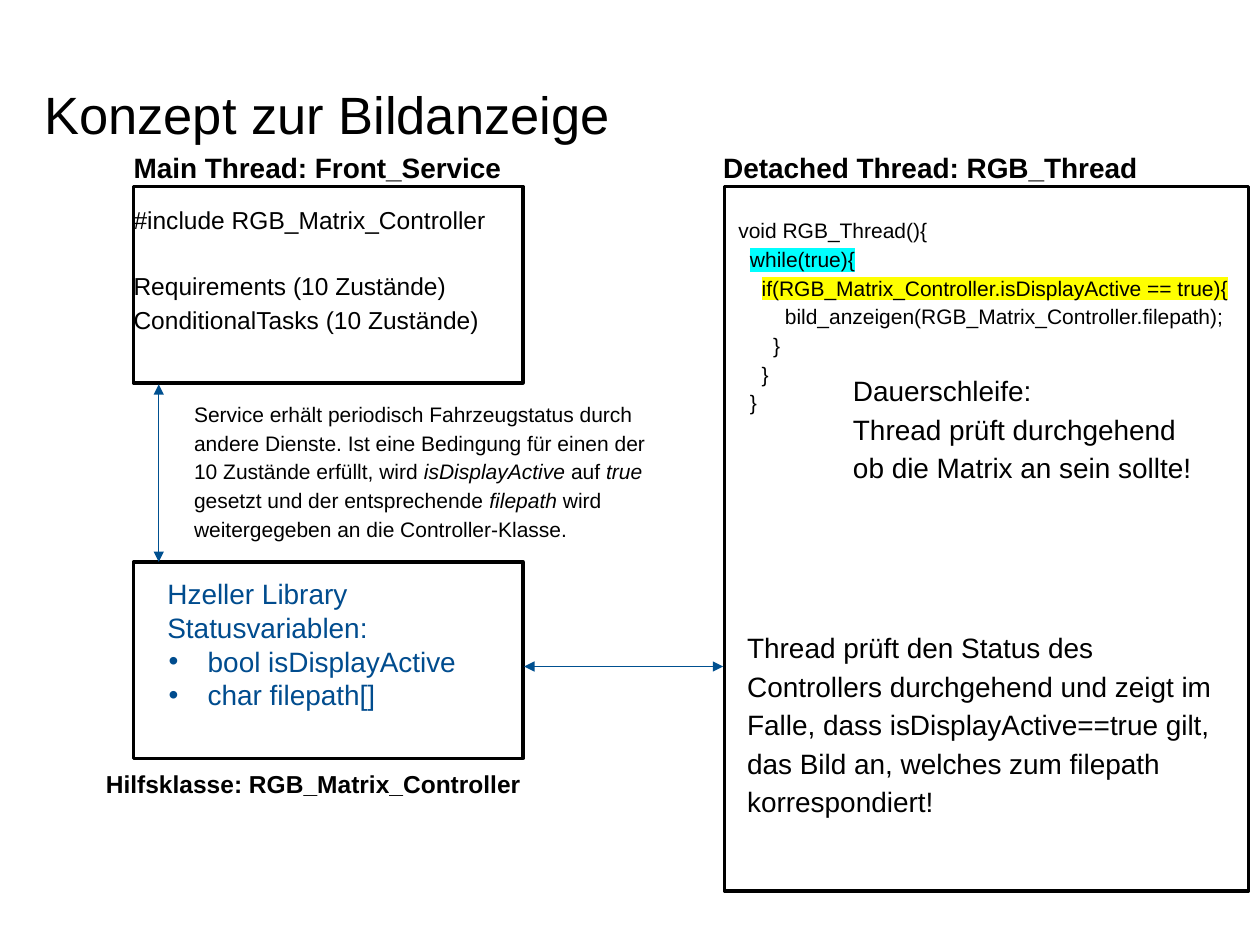
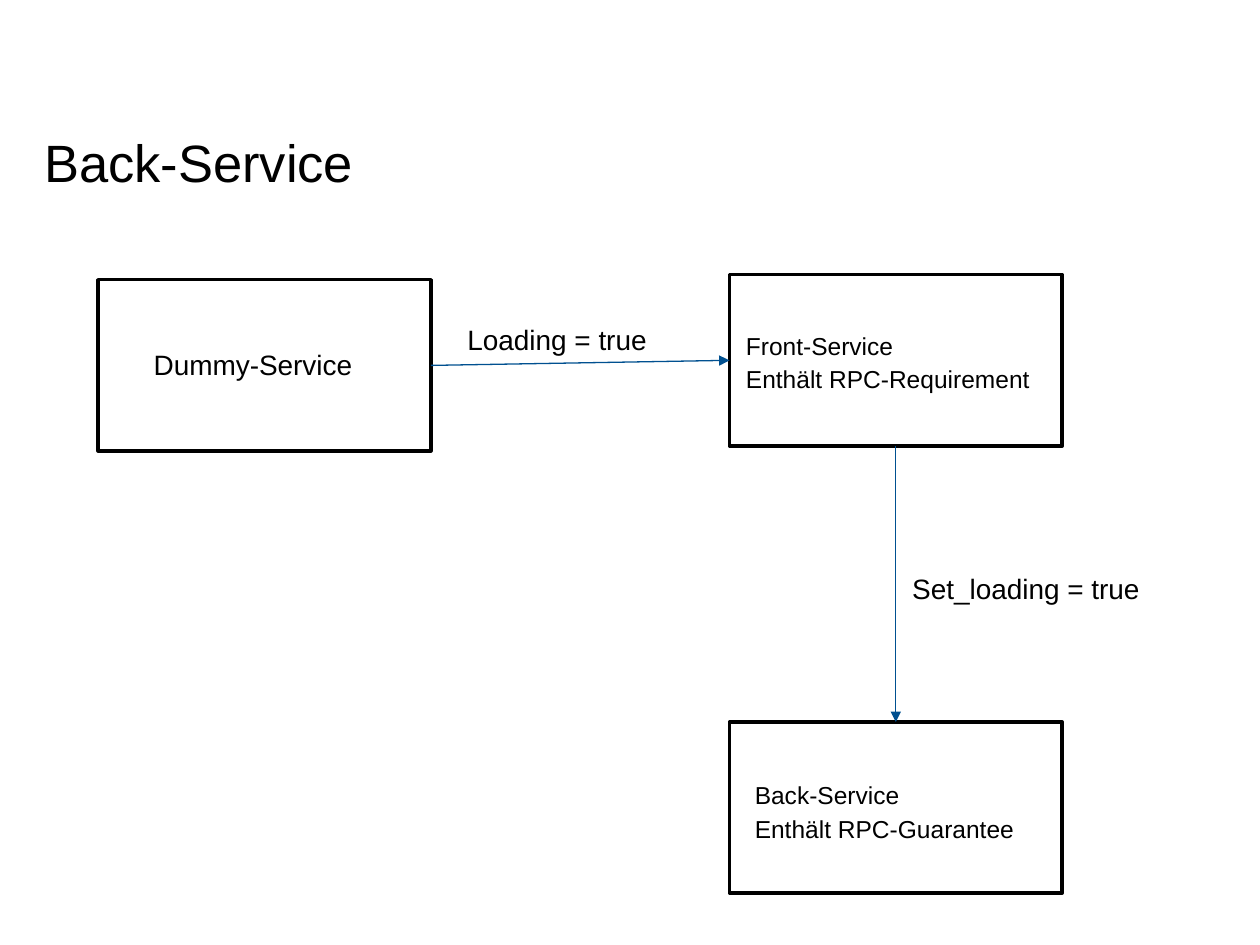
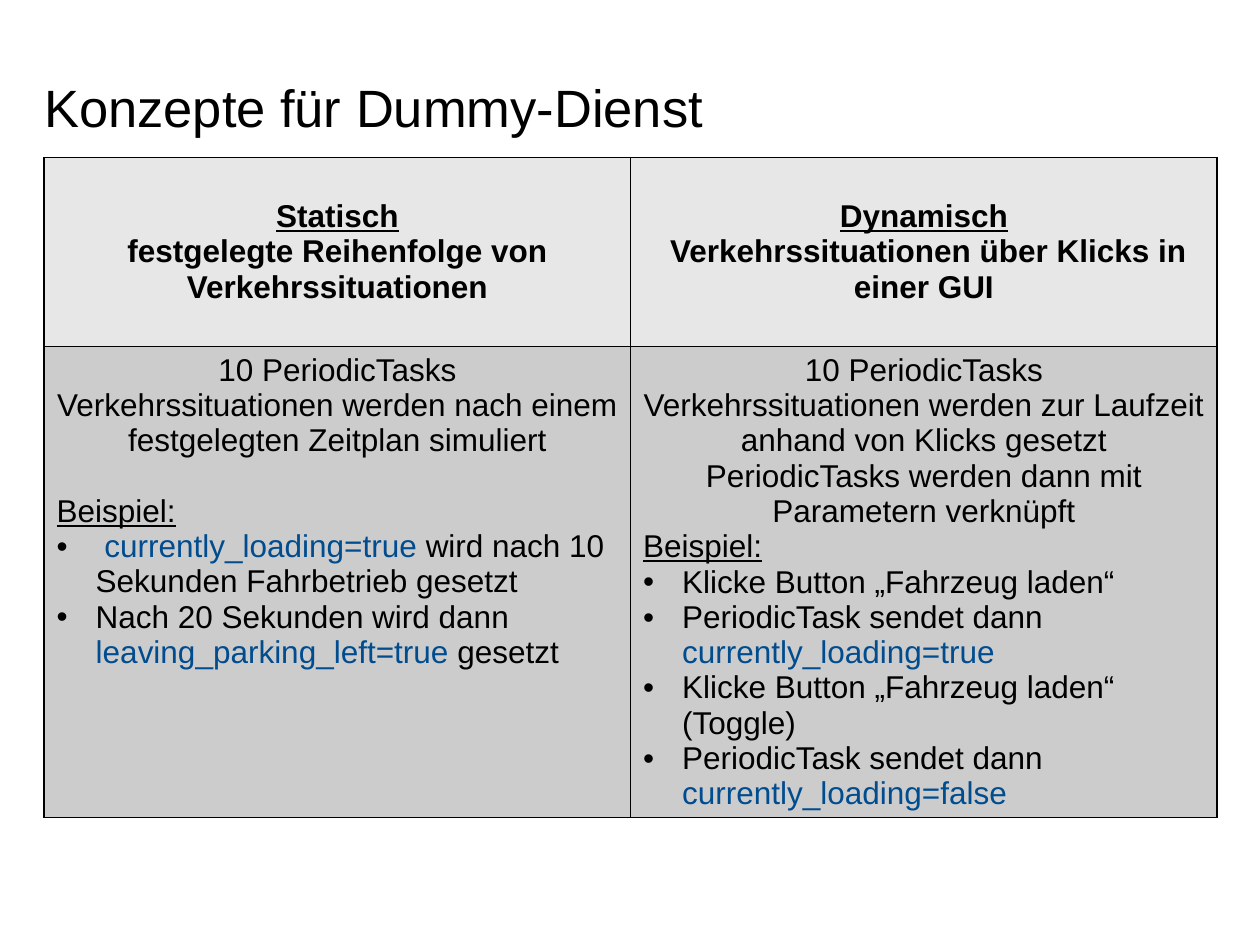
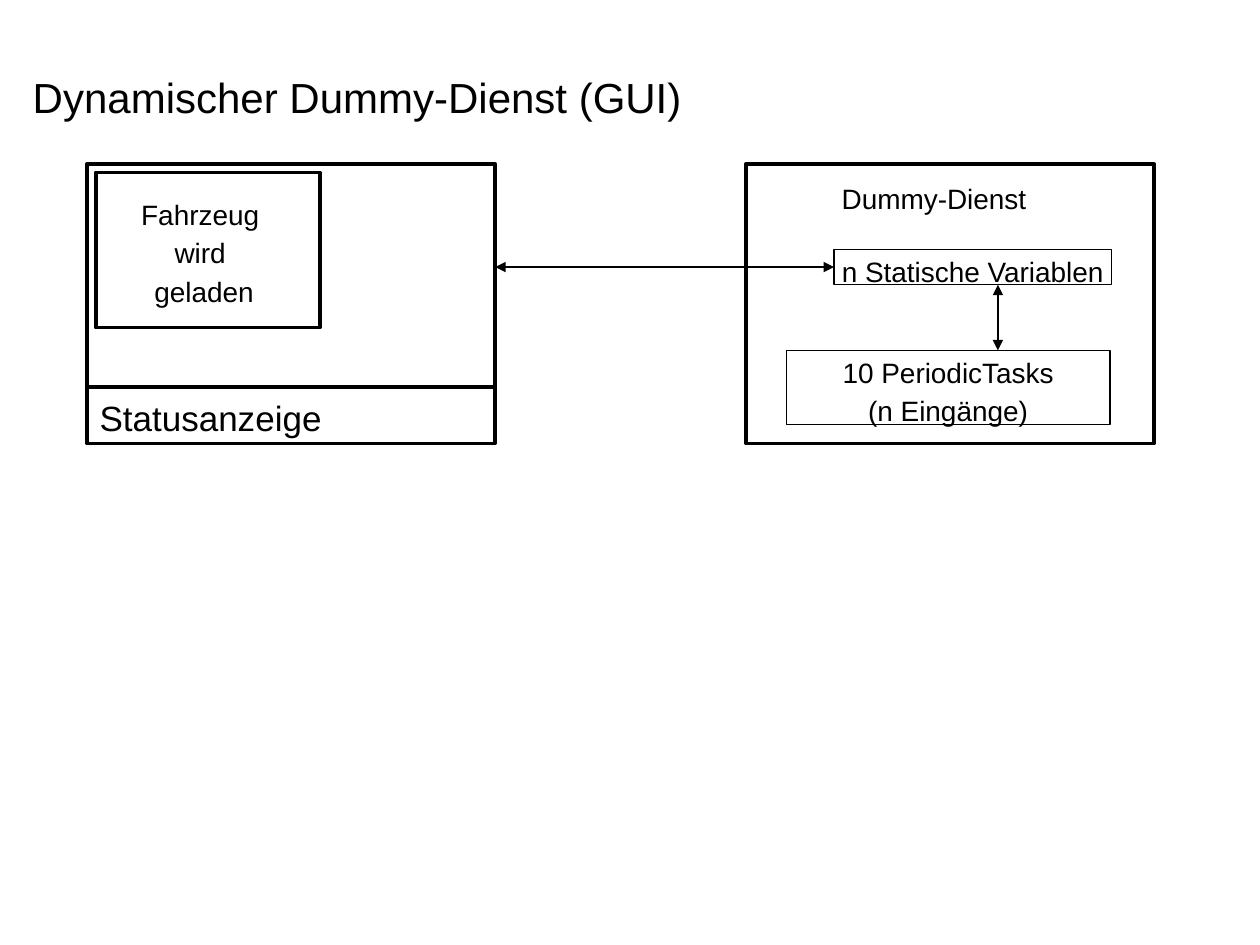
from lxml.etree import SubElement
from pptx import Presentation
from pptx.dml.color import RGBColor
from pptx.enum.shapes import MSO_CONNECTOR, MSO_SHAPE
from pptx.enum.text import MSO_ANCHOR, MSO_AUTO_SIZE, PP_ALIGN
from pptx.oxml import parse_xml
from pptx.oxml.ns import nsdecls, qn
from pptx.util import Inches, Pt

COLORS = {
    "ink": "000000",
    "accent": "004C8E",
    "arrow": "005090",
    "head": "E7E7E7",
    "body": "CCCCCC",
    "loop": "00FFFF",
    "condition": "FFFF00",
}
WIDTH, HEIGHT = Inches(10), Inches(7.5)
COLUMNS, ROWS = 100, 75
FONT = "Arial"
LEADING = 1.37
FRAME_LINE, THIN_LINE, DIVIDER_LINE = 2, 0.75, 2.25
CENTER = {"alignment": PP_ALIGN.CENTER}
BULLET_HANG = 0.31


def rgb(key):
    """Look up a colour by its role."""
    return RGBColor.from_string(COLORS[key])


def col(count):
    """Turn grid columns into a length."""
    return round(WIDTH * count / COLUMNS)


def row(count):
    """Turn grid rows into a length."""
    return round(HEIGHT * count / ROWS)


def place(left, top, width, height):
    """Turn a grid area into lengths."""
    return col(left), row(top), col(width), row(height)


def apply_format(target, values):
    """Set every format value on the target."""
    for key, value in values.items():
        setattr(target, key, value)


def para(*runs, margin=0, hang=0, bullet=False, **layout):
    """Describe a paragraph with its runs, indents and layout."""
    return {"runs": runs, "margin": margin, "hang": hang, "bullet": bullet, "layout": layout}


def bullet(*runs, margin=BULLET_HANG, **layout):
    """Describe a bulleted paragraph."""
    return para(*runs, margin=margin, hang=BULLET_HANG, bullet=True, **layout)


def write_run(paragraph, text, size, color="ink", highlight=None, **style):
    """Add one formatted run."""
    run = paragraph.add_run()
    run.text = text
    run.font.color.rgb = rgb(color)
    if highlight:
        mark = SubElement(run.font._element, qn("a:highlight"))
        SubElement(mark, qn("a:srgbClr"), val=COLORS[highlight])
    apply_format(run.font, {"size": Pt(size), "name": FONT, **style})


def write_text(frame, paragraphs, size, layout=None, **style):
    """Fill a text frame with paragraphs."""
    for index, content in enumerate(paragraphs):
        content = para(content) if isinstance(content, str) else content
        paragraph = frame.paragraphs[0] if index == 0 else frame.add_paragraph()
        properties = paragraph._p.get_or_add_pPr()
        if content["margin"]:
            properties.set("marL", str(Inches(content["margin"])))
            properties.set("indent", str(-Inches(content["hang"])))
        if content["bullet"]:
            SubElement(properties, qn("a:buFont"), typeface=FONT)
            SubElement(properties, qn("a:buChar"), char="•")
        apply_format(paragraph, {**(layout or {}), **content["layout"]})
        for run in content["runs"]:
            text, extra = (run, {}) if isinstance(run, str) else run
            write_run(paragraph, text, size, **{**style, **extra})


def spaced(size, leading=LEADING):
    """Give the line spacing for a text size."""
    return {"line_spacing": Pt(round(size * leading, 1))}


def clear_margins(frame):
    """Remove the inner margins of a text frame."""
    apply_format(frame, dict.fromkeys(("margin_left", "margin_top", "margin_right", "margin_bottom"), 0))


def add_text(slide, area, paragraphs, size=16, layout=None, inset=False, **style):
    """Add a wrapping text box."""
    frame = slide.shapes.add_textbox(*place(*area)).text_frame
    apply_format(frame, {"word_wrap": True, "auto_size": MSO_AUTO_SIZE.SHAPE_TO_FIT_TEXT})
    if not inset:
        clear_margins(frame)
    write_text(frame, paragraphs, size, {**spaced(size), **(layout or {})}, **style)


def add_title(slide, text, top):
    """Add the slide title."""
    add_text(slide, (3.5, top, 93.1, 4.5), [text], 30, {"line_spacing": Pt(32)})


def add_frame(slide, area, weight=FRAME_LINE, paragraphs=(), layout=None):
    """Add an unfilled rectangle with optional text."""
    frame = slide.shapes.add_shape(MSO_SHAPE.RECTANGLE, *place(*area))
    frame.shadow.inherit = False
    frame.fill.background()
    frame.line.color.rgb = rgb("ink")
    frame.line.width = Pt(weight)
    if paragraphs:
        apply_format(frame.text_frame, {"word_wrap": True, "vertical_anchor": MSO_ANCHOR.TOP})
        clear_margins(frame.text_frame)
        write_text(frame.text_frame, paragraphs, 16, {**spaced(16), **(layout or {})})


def add_line(slide, start, end, color="arrow", weight=THIN_LINE, tips=()):
    """Add a straight line with arrowheads at the named ends."""
    line = slide.shapes.add_connector(
        MSO_CONNECTOR.STRAIGHT, col(start[0]), row(start[1]), col(end[0]), row(end[1])
    )
    line.line.color.rgb = rgb(color)
    line.line.width = Pt(weight)
    for tip in tips:
        SubElement(line.line._get_or_add_ln(), qn(f"a:{tip}"), type="triangle")
    SubElement(line._element.spPr, qn("a:effectLst"))


def border_cell(cell):
    """Draw a thin border on all sides of a cell."""
    properties = cell._tc.get_or_add_tcPr()
    for index, side in enumerate(("lnL", "lnR", "lnT", "lnB")):
        properties.insert(index, parse_xml(
            f'<a:{side} {nsdecls("a")} w="{Pt(1)}"><a:solidFill>'
            f'<a:srgbClr val="{COLORS["ink"]}"/></a:solidFill></a:{side}>'
        ))


def add_comparison(slide, area, row_heights, contents):
    """Add a table with a header row and a body row."""
    count = len(contents[0])
    table = slide.shapes.add_table(len(contents), count, *place(*area)).table
    apply_format(table, {"first_row": False, "horz_banding": False})
    for column in table.columns:
        column.width = col(area[2] / count)
    for index, (height, cells) in enumerate(zip(row_heights, contents)):
        table.rows[index].height = row(height)
        for position, paragraphs in enumerate(cells):
            cell = table.cell(index, position)
            cell.fill.solid()
            cell.fill.fore_color.rgb = rgb("body" if index else "head")
            middle = index == 0 or position == 1
            cell.vertical_anchor = MSO_ANCHOR.MIDDLE if middle else MSO_ANCHOR.TOP
            write_text(cell.text_frame, paragraphs, 18, bold=index == 0)
            border_cell(cell)


def build_display_concept(slide):
    """Show how the threads share the controller."""
    both = ("headEnd", "tailEnd")
    italic = {"italic": True}
    add_title(slide, "Konzept zur Bildanzeige", 7.1)
    for area in ((10.6, 14.8, 30.9, 15.6), (10.6, 44.6, 30.9, 15.6), (57.5, 14.8, 41.6, 55.9)):
        add_frame(slide, area)
    for area, heading, size in (
        ((10.6, 11.6, 30.9, 2.8), "Main Thread: Front_Service", 16),
        ((57.4, 11.6, 33, 2.8), "Detached Thread: RGB_Thread", 16),
        ((8.4, 60.7, 38.1, 2.5), "Hilfsklasse: RGB_Matrix_Controller", 14),
    ):
        add_text(slide, area, [heading], size, bold=True)
    add_text(slide, (10.6, 15.9, 30.9, 13.2), [
        "#include RGB_Matrix_Controller",
        para("Requirements (10 Zustände)", space_before=Pt(19)),
        "ConditionalTasks (10 Zustände)",
    ], 14)
    add_text(slide, (8.4, 45.3, 38.1, 11.8), [
        para("Hzeller Library", margin=0.39),
        para("Statusvariablen:", margin=0.39),
        bullet("bool isDisplayActive", margin=0.71),
        bullet("char filepath[]", margin=0.71),
    ], layout=spaced(16, 1.2), inset=True, color="accent")
    add_text(slide, (58.6, 17, 40.5, 15.9), [
        "void RGB_Thread(){",
        para("  ", ("while(true){", {"highlight": "loop"})),
        para("    ", ("if(RGB_Matrix_Controller.isDisplayActive == true){", {"highlight": "condition"})),
        "        bild_anzeigen(RGB_Matrix_Controller.filepath);",
        "      }",
        "    }",
        "  }",
    ], 12)
    add_line(slide, (41.6, 52.9), (57.4, 52.9), tips=both)
    add_text(slide, (59.3, 49.7, 37.9, 21.2), [
        "Thread prüft den Status des Controllers durchgehend und zeigt im Falle, "
        "dass isDisplayActive==true gilt, das Bild an, welches zum filepath korrespondiert!",
    ])
    add_line(slide, (12.6, 44.6), (12.6, 30.5), tips=both)
    add_text(slide, (15.4, 31.6, 37.9, 11.3), [para(
        "Service erhält periodisch Fahrzeugstatus durch andere Dienste. "
        "Ist eine Bedingung für einen der 10 Zustände erfüllt, wird ",
        ("isDisplayActive", italic), " auf ", ("true", italic),
        " gesetzt und der entsprechende ", ("filepath", italic),
        " wird weitergegeben an die Controller-Klasse.",
    )], 12)
    add_text(slide, (67.7, 29.3, 28, 12), [
        "Dauerschleife:", "Thread prüft durchgehend ob die Matrix an sein sollte!",
    ])


def build_back_service(slide):
    """Show the call chain between the services."""
    width, height = 26.4, 13.6
    dummy, front, back = (7.8, 22.2), (57.9, 21.8), (57.9, 57.3)
    add_title(slide, "Back-Service", 10.9)
    for corner in (dummy, front, back):
        add_frame(slide, (*corner, width, height))
    add_text(slide, (12.2, 27.2, 17.7, 2.8), ["Dummy-Service"])
    add_text(slide, (59.2, 25.9, 24.2, 5.1), ["Front-Service", "Enthält RPC-Requirement"], 14)
    add_text(slide, (59.9, 61.6, 24.9, 5.1), ["Back-Service", "Enthält RPC-Guarantee"], 14)
    add_line(slide, (dummy[0] + width, dummy[1] + height / 2),
             (front[0], front[1] + height / 2), tips=("tailEnd",))
    add_line(slide, (front[0] + width / 2, front[1] + height),
             (back[0] + width / 2, back[1]), tips=("tailEnd",))
    add_text(slide, (37.1, 25.2, 17.7, 2.8), ["Loading = true"])
    add_text(slide, (72.4, 45, 22, 2.8), ["Set_loading = true"])


def build_dummy_concepts(slide):
    """Compare the static and the dynamic concept."""
    underline, accent = {"underline": True}, {"color": "accent"}
    add_comparison(slide, (3.5, 12.5, 93.1, 52.4), (15, 37.4), [
        [
            [para(("Statisch", underline), **CENTER),
             para("festgelegte Reihenfolge von Verkehrssituationen", **CENTER)],
            [para(("Dynamisch", underline), **CENTER),
             para(" Verkehrssituationen über Klicks in einer GUI", **CENTER)],
        ],
        [
            [para("10 PeriodicTasks", **CENTER),
             para("Verkehrssituationen werden nach einem festgelegten Zeitplan simuliert", **CENTER),
             para(("Beispiel:", underline), space_before=Pt(20)),
             bullet(" ", ("currently_loading=true ", accent), "wird nach 10 Sekunden Fahrbetrieb gesetzt"),
             bullet("Nach 20 Sekunden wird dann ", ("leaving_parking_left=true ", accent), "gesetzt")],
            [para("10 PeriodicTasks", **CENTER),
             para("Verkehrssituationen werden zur Laufzeit anhand von Klicks gesetzt", **CENTER),
             para("PeriodicTasks werden dann mit Parametern verknüpft", **CENTER),
             para(("Beispiel:", underline)),
             bullet("Klicke Button „Fahrzeug laden“"),
             bullet("PeriodicTask sendet dann ", ("currently_loading=true", accent)),
             bullet("Klicke Button „Fahrzeug laden“ (Toggle)"),
             bullet("PeriodicTask sendet dann ", ("currently_loading=false", accent))],
        ],
    ])
    add_title(slide, "Konzepte für Dummy-Dienst", 6.5)


def build_dynamic_dummy(slide):
    """Show the GUI next to the dummy service."""
    both = ("headEnd", "tailEnd")
    add_text(slide, (2.6, 5.1, 58, 4.2), ["Dynamischer Dummy-Dienst (GUI)"], 24)
    for left in (6.9, 59.2):
        add_frame(slide, (left, 13, 32.4, 22.2))
    add_frame(slide, (7.6, 13.7, 17.8, 12.3))
    add_text(slide, (9.6, 15.3, 13.2, 9), ["Fahrzeug ", "wird ", "geladen"], layout=CENTER)
    add_line(slide, (6.9, 30.7), (39.3, 30.7), "ink", DIVIDER_LINE)
    add_text(slide, (7.9, 31, 19, 3.5), ["Statusanzeige"], 20)
    add_line(slide, (39.3, 21.2), (66.2, 21.2), "ink", tips=both)
    add_text(slide, (66.8, 14, 17.1, 2.8), ["Dummy-Dienst"])
    add_frame(slide, (62.4, 27.8, 25.7, 5.9), THIN_LINE, ["10 PeriodicTasks", "(n Eingänge)"], CENTER)
    add_frame(slide, (66.2, 19.8, 22, 2.8), THIN_LINE, [" n Statische Variablen"],
              {"alignment": PP_ALIGN.LEFT})
    add_line(slide, (79.2, 22.6), (79.2, 27.8), "ink", tips=both)


def main():
    """Build and save the presentation."""
    deck = Presentation()
    apply_format(deck, {"slide_width": WIDTH, "slide_height": HEIGHT})
    blank = deck.slide_layouts[6]
    for build in (build_display_concept, build_back_service, build_dummy_concepts, build_dynamic_dummy):
        build(deck.slides.add_slide(blank))
    deck.save("out.pptx")


if __name__ == "__main__":
    main()
